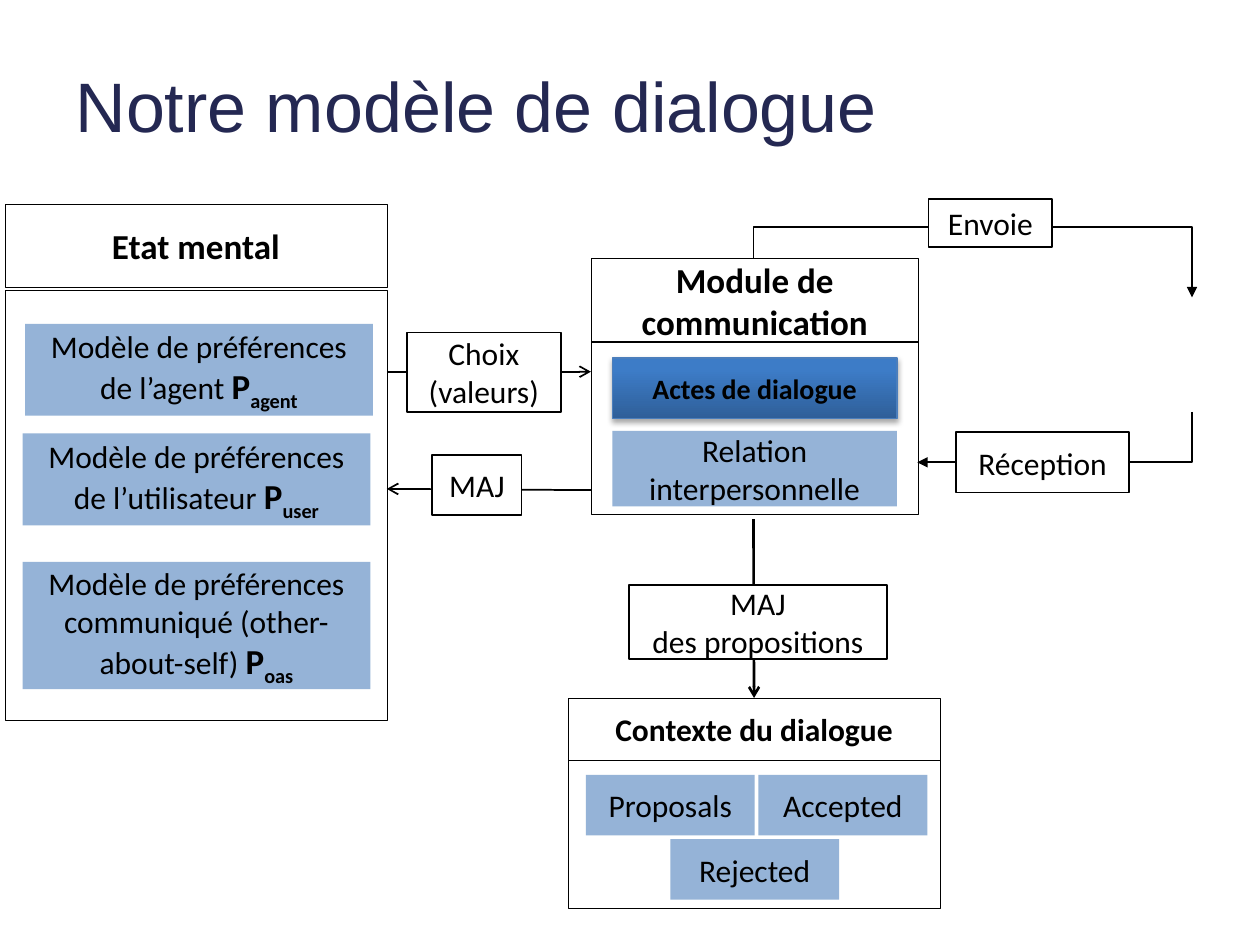
"""Build the slide that shows the dialogue model and its message flows."""
from lxml import etree
from pptx import Presentation
from pptx.dml.color import RGBColor
from pptx.enum.shapes import MSO_CONNECTOR, MSO_SHAPE
from pptx.enum.text import MSO_ANCHOR, PP_ALIGN
from pptx.oxml.ns import qn
from pptx.util import Inches, Pt

RECTANGLE = MSO_SHAPE.RECTANGLE
STRAIGHT, ELBOW = MSO_CONNECTOR.STRAIGHT, MSO_CONNECTOR.ELBOW
CENTER, LEFT = PP_ALIGN.CENTER, PP_ALIGN.LEFT
MIDDLE = MSO_ANCHOR.MIDDLE

COLORS = {
    "title": "242852", "ink": "000000", "paper": "FFFFFF", "block": "95B3D7",
    "act_dark": "2F5F99", "act_light": "3D7CC7", "act_edge": "4B7EBC",
}
TITLE = "Notre modèle de dialogue"
PANELS = [
    {"heading": "Etat mental", "size": 20,
     "head": (0.04, 1.62, 3.03, 0.66), "body": (0.04, 2.3, 3.03, 3.42),
     "blocks": [
         ("Modèle de préférences de l’agent ", "agent", (0.2, 2.57, 2.76, 0.73)),
         ("Modèle de préférences de l’utilisateur ", "user", (0.18, 3.44, 2.76, 0.73)),
         ("Modèle de préférences communiqué (other-about-self) ", "oas",
          (0.18, 4.46, 2.76, 1.01)),
     ]},
    {"heading": "Contexte du dialogue", "size": 18,
     "head": (4.51, 5.54, 2.95, 0.49), "body": (4.51, 6.03, 2.95, 1.18),
     "blocks": [
         ("Proposals", "", (4.65, 6.15, 1.34, 0.48)),
         ("Accepted", "", (6.02, 6.15, 1.34, 0.48)),
         ("Rejected", "", (5.32, 6.66, 1.34, 0.48)),
     ]},
    {"heading": "Module de communication", "size": 20,
     "head": (4.69, 2.05, 2.6, 0.67), "body": (4.69, 2.71, 2.6, 1.37),
     "act": ("Actes de dialogue", (4.86, 2.84, 2.26, 0.48)),
     "blocks": [("Relation interpersonnelle", "", (4.86, 3.42, 2.26, 0.6))]},
]
STRAIGHT_FLOWS = [
    ((4.69, 3.89), (3.07, 3.88), 1, None),
    ((3.07, 2.95), (4.69, 2.95), 1, None),
    ((5.98, 4.12), (5.98, 5.54), 1.5, "Contexte du dialogue"),
]
BENT_FLOWS = [
    ((5.98, 2.05), (9.46, 2.36), "bentConnector3", 270, True, -80400),
    ((9.46, 3.27), (7.28, 3.67), "bentConnector2", 90, False, None),
]
FLOW_LABELS = [
    ("MAJ", (3.43, 3.61, 0.71, 0.48)),
    ("Choix\n(valeurs)", (3.23, 2.64, 1.22, 0.63)),
    ("Envoie", (7.37, 1.58, 0.98, 0.38)),
    ("Réception", (7.59, 3.43, 1.37, 0.48)),
    ("MAJ\ndes propositions", (4.99, 4.64, 2.05, 0.59)),
]


def rgb(name):
    return RGBColor.from_string(COLORS[name])


def style_run(run, size, bold=False, color="ink", face="Calibri"):
    run.font.size, run.font.bold, run.font.name = Pt(size), bold, face
    run.font.color.rgb = rgb(color)


def add_box(shapes, frame, text="", size=18, bold=False, fill=None, edge=None, weight=1):
    box = shapes.add_shape(RECTANGLE, *map(Inches, frame))
    box.shadow.inherit = False
    if fill:
        box.fill.solid()
        box.fill.fore_color.rgb = rgb(fill)
    else:
        box.fill.background()
    if edge:
        box.line.color.rgb = rgb(edge)
        box.line.width = Pt(weight)
    else:
        box.line.fill.background()
    box.text_frame.word_wrap = True
    box.text_frame.vertical_anchor = MIDDLE
    box.text_frame.text = text
    for paragraph in box.text_frame.paragraphs:
        paragraph.alignment = CENTER
        for run in paragraph.runs:
            style_run(run, size, bold)
    return box


def add_subscripted_p(block, subscript):
    paragraph = block.text_frame.paragraphs[0]
    for text in ("P", subscript):
        run = paragraph.add_run()
        run.text = text
        style_run(run, 20, True)
    run.font._element.set("baseline", "-25000")


def add_act(shapes, text, frame):
    act = add_box(shapes, frame, text, 16, True, edge="act_edge", weight=0.75)
    act.fill.gradient()
    act.fill.gradient_angle = 90
    dark, light = act.fill.gradient_stops
    dark.color.rgb, light.color.rgb = rgb("act_dark"), rgb("act_light")
    dark.position, light.position = 0, 0.8
    effects = act._element.spPr.find(qn("a:effectLst"))
    shadow = etree.SubElement(effects, qn("a:outerShdw"), blurRad=str(Pt(3.1)),
                              dist=str(Pt(1.8)), dir="5400000", rotWithShape="0")
    tint = etree.SubElement(shadow, qn("a:srgbClr"), val=COLORS["ink"])
    etree.SubElement(tint, qn("a:alpha"), val="35000")


def add_panel(slide, panel):
    shapes = slide.shapes.add_group_shape().shapes
    head = add_box(shapes, panel["head"], panel["heading"], panel["size"], True,
                   edge="ink", weight=0.25)
    add_box(shapes, panel["body"], edge="ink", weight=0.25)
    if "act" in panel:
        add_act(shapes, *panel["act"])
    for text, subscript, frame in panel["blocks"]:
        block = add_box(shapes, frame, text, fill="block")
        if subscript:
            add_subscripted_p(block, subscript)
    return head


def add_flow(slide, kind, start, end, weight, arrowhead):
    flow = slide.shapes.add_connector(kind, *map(Inches, start + end))
    flow.line.color.rgb = rgb("ink")
    flow.line.width = Pt(weight)
    etree.SubElement(flow.line._get_or_add_ln(), qn("a:tailEnd"), type=arrowhead)
    etree.SubElement(flow._element.spPr, qn("a:effectLst"))
    return flow


def add_bent_flow(slide, start, end, preset, turn, flipped, adjustment):
    flow = add_flow(slide, ELBOW, start, end, 1, "triangle")
    (x1, y1), (x2, y2) = start, end
    width, height = abs(y2 - y1), abs(x2 - x1)
    flow.left = Inches((x1 + x2 - width) / 2)
    flow.top = Inches((y1 + y2 - height) / 2)
    flow.width, flow.height = Inches(width), Inches(height)
    properties = flow._element.spPr
    frame = properties.find(qn("a:xfrm"))
    frame.set("rot", str(turn * 60000))
    frame.set("flipH", str(int(flipped)))
    geometry = properties.find(qn("a:prstGeom"))
    geometry.set("prst", preset)
    if adjustment is not None:
        etree.SubElement(geometry.find(qn("a:avLst")), qn("a:gd"),
                         name="adj1", fmla=f"val {adjustment}")


def main():
    deck = Presentation()
    deck.slide_width, deck.slide_height = Inches(10), Inches(7.5)
    slide = deck.slides.add_slide(deck.slide_layouts[5])
    title = slide.shapes.title
    title.left, title.top, title.width, title.height = map(Inches, (0.5, 0.29, 9, 1.08))
    title.text_frame.text = TITLE
    title.text_frame.vertical_anchor = MIDDLE
    heading = title.text_frame.paragraphs[0]
    heading.alignment = LEFT
    style_run(heading.runs[0], 40, color="title", face="Arial")

    heads = {panel["heading"]: add_panel(slide, panel) for panel in PANELS}
    for start, end, weight, target in STRAIGHT_FLOWS:
        flow = add_flow(slide, STRAIGHT, start, end, weight, "arrow")
        if target:
            flow.end_connect(heads[target], 0)
    for bent_flow in BENT_FLOWS:
        add_bent_flow(slide, *bent_flow)
    for text, frame in FLOW_LABELS:
        add_box(slide.shapes, frame, text, fill="paper", edge="ink")
    deck.save("out.pptx")


if __name__ == "__main__":
    main()
